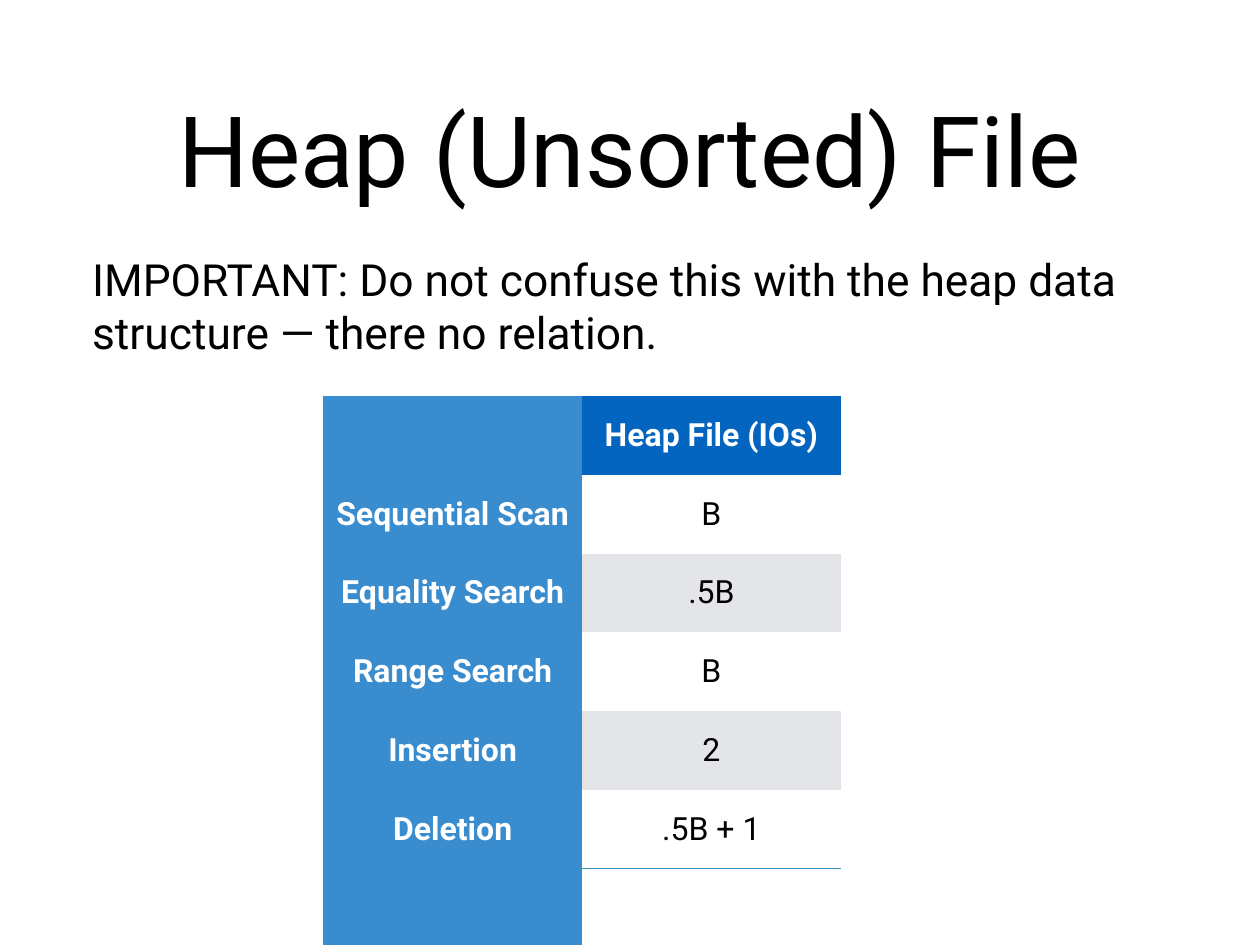
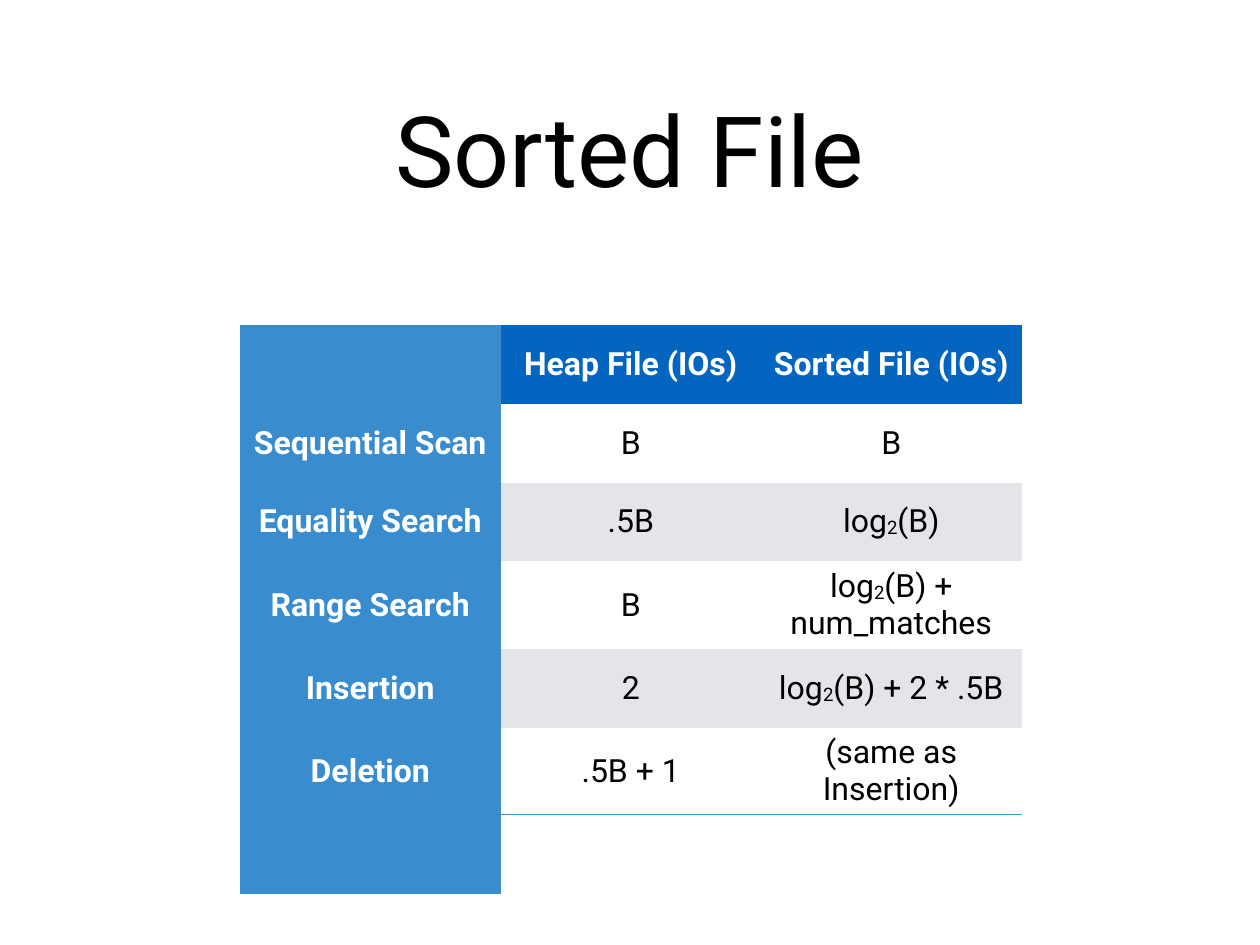
import pptx
import pptx.dml.color
import pptx.enum.text
import pptx.oxml
import pptx.oxml.ns
import pptx.util

Inches = pptx.util.Inches
PP_ALIGN = pptx.enum.text.PP_ALIGN
MSO_ANCHOR = pptx.enum.text.MSO_ANCHOR

COLORS = {
    "text": "000000",
    "header_text": "FFFFFF",
    "header": "0365C0",
    "operation": "398CCE",
    "plain": "FFFFFF",
    "band": "E3E5E8",
    "rule": "3797C6",
}
FONT = "Roboto"
NO_GRID_STYLE = "{2D5ABB26-0587-4C30-8999-92F81FD0307C}"
ROW_HEIGHT = 0.89
CELL_FORMAT = {
    "vertical_anchor": MSO_ANCHOR.MIDDLE,
    "margin_left": Inches(0.06),
    "margin_right": Inches(0.06),
    "margin_top": Inches(0.06),
    "margin_bottom": Inches(0.06),
}
BOX_FORMAT = {
    "word_wrap": True,
    "margin_left": 0,
    "margin_right": 0,
    "margin_top": 0,
    "margin_bottom": 0,
}

operations = ["", "Sequential Scan", "Equality Search", "Range Search", "Insertion", "Deletion", ""]
heap_costs = ["Heap File (IOs)", "B", ".5B", "B", "2", ".5B + 1", ""]
sorted_costs = [
    "Sorted File (IOs)",
    "B",
    "log|2|(B)",
    "log|2|(B) + num_matches",
    "log|2|(B) + 2 * .5B",
    "(same as Insertion)",
    "",
]
file_slides = [
    {
        "title": "Heap (Unsorted) File",
        "warning": "IMPORTANT: Do not confuse this with the heap data structure — there no relation.",
        "columns": [operations, heap_costs],
        "left": 3.65,
        "top": 4.47,
        "column_width": 2.92,
    },
    {
        "title": "Sorted File",
        "warning": None,
        "columns": [operations, heap_costs, sorted_costs],
        "left": 2.71,
        "top": 3.67,
        "column_width": 2.94,
    },
]


def write_text(paragraph, text, size, color, bold, alignment):
    paragraph.alignment = alignment
    font_format = {"name": FONT, "size": pptx.util.Pt(size), "bold": bold}
    for position, part in enumerate(text.split("|")):
        run = paragraph.add_run()
        run.text = part
        for attribute, value in font_format.items():
            setattr(run.font, attribute, value)
        run.font.color.rgb = pptx.dml.color.RGBColor.from_string(COLORS[color])
        if position % 2:
            run.font._element.set("baseline", "-6000")


def add_text_box(slide, text, top, height, size, alignment, anchor):
    frame = slide.shapes.add_textbox(Inches(1.04), Inches(top), Inches(12.14), Inches(height)).text_frame
    for attribute, value in BOX_FORMAT.items():
        setattr(frame, attribute, value)
    frame.vertical_anchor = anchor
    write_text(frame.paragraphs[0], text, size, "text", False, alignment)


presentation = pptx.Presentation()
presentation.slide_width = Inches(14.22)
presentation.slide_height = Inches(10.67)

for content in file_slides:
    slide = presentation.slides.add_slide(presentation.slide_layouts[6])
    add_text_box(slide, content["title"], 0.49, 2.36, 80, PP_ALIGN.CENTER, MSO_ANCHOR.MIDDLE)
    if content["warning"]:
        add_text_box(slide, content["warning"], 2.85, 6.88, 36, PP_ALIGN.LEFT, MSO_ANCHOR.TOP)

    columns = content["columns"]
    row_count = len(operations)
    costs = slide.shapes.add_table(
        row_count,
        len(columns),
        Inches(content["left"]),
        Inches(content["top"]),
        Inches(content["column_width"] * len(columns)),
        Inches(ROW_HEIGHT * row_count),
    ).table
    costs._tbl.tblPr.find(pptx.oxml.ns.qn("a:tableStyleId")).text = NO_GRID_STYLE
    costs.first_col = True
    for row in costs.rows:
        row.height = Inches(ROW_HEIGHT)

    for column_index, entries in enumerate(columns):
        costs.columns[column_index].width = Inches(content["column_width"])
        for row_index, entry in enumerate(entries):
            cell = costs.cell(row_index, column_index)
            for attribute, value in CELL_FORMAT.items():
                setattr(cell, attribute, value)
            is_heading = row_index == 0 or column_index == 0
            is_last = row_index == row_count - 1
            if column_index == 0:
                fill = "operation"
            elif row_index == 0:
                fill = "header"
            else:
                fill = "plain" if row_index % 2 or is_last else "band"
            cell.fill.solid()
            cell.fill.fore_color.rgb = pptx.dml.color.RGBColor.from_string(COLORS[fill])
            if entry:
                color = "header_text" if is_heading else "text"
                write_text(cell.text_frame.paragraphs[0], entry, 26, color, is_heading, PP_ALIGN.CENTER)
            if is_last and column_index > 0:
                rule = pptx.oxml.parse_xml(
                    f'<a:lnT {pptx.oxml.ns.nsdecls("a")} w="{pptx.util.Pt(1)}"><a:solidFill>'
                    f'<a:srgbClr val="{COLORS["rule"]}"/></a:solidFill></a:lnT>'
                )
                cell._tc.get_or_add_tcPr().insert(0, rule)

presentation.save("out.pptx")
